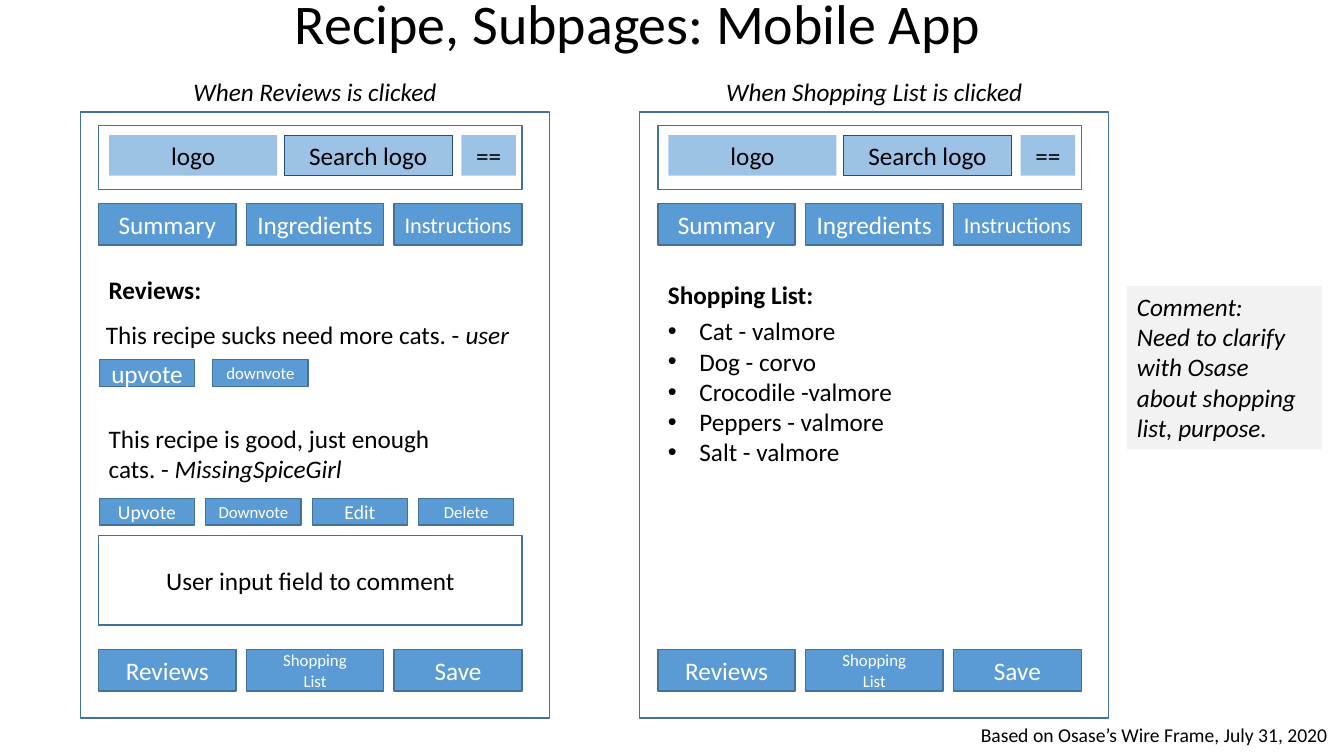
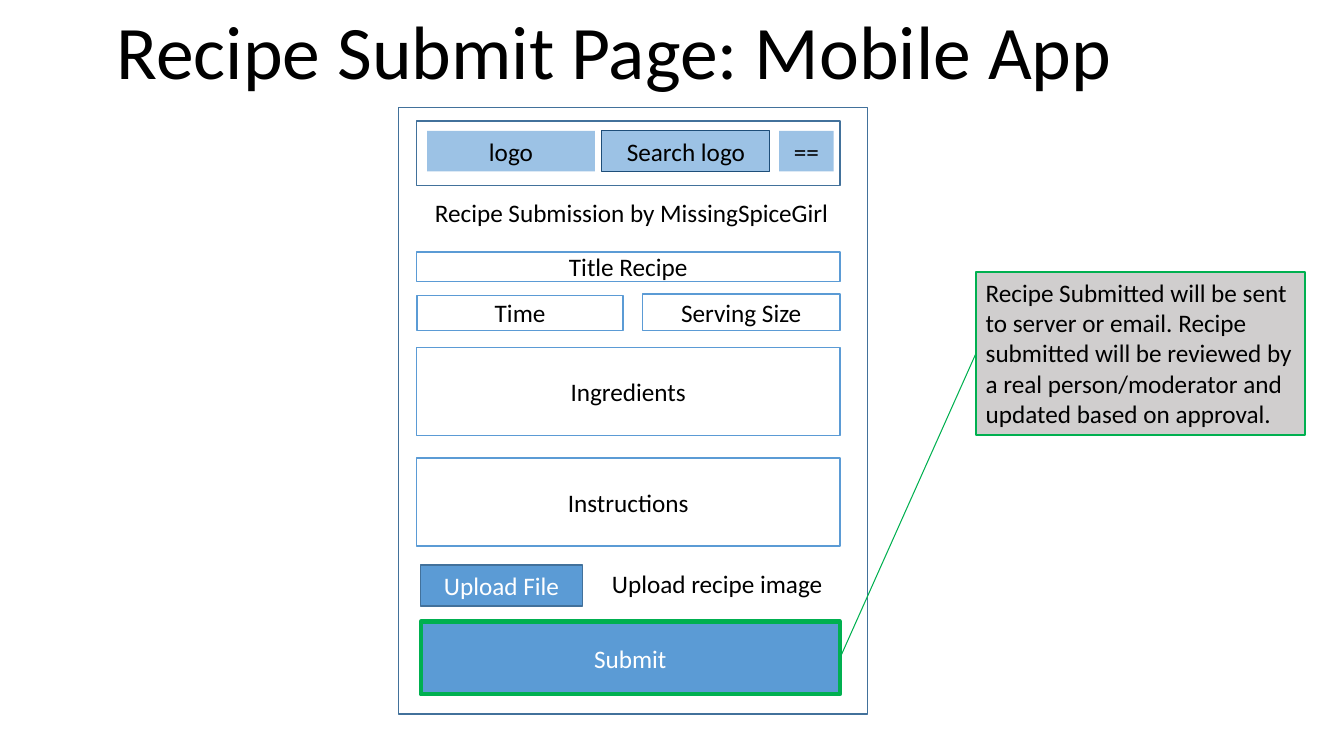
from lxml import etree
from pptx import Presentation
from pptx.dml.color import RGBColor
from pptx.enum.shapes import MSO_CONNECTOR, MSO_SHAPE
from pptx.enum.text import MSO_ANCHOR, PP_ALIGN
from pptx.oxml.ns import qn
from pptx.util import Pt

RECTANGLE = MSO_SHAPE.RECTANGLE
STRAIGHT = MSO_CONNECTOR.STRAIGHT
LEFT, CENTER, JUSTIFY = PP_ALIGN.LEFT, PP_ALIGN.CENTER, PP_ALIGN.JUSTIFY
TOP, MIDDLE, BOTTOM = MSO_ANCHOR.TOP, MSO_ANCHOR.MIDDLE, MSO_ANCHOR.BOTTOM
SIDE_LEFT, SIDE_RIGHT = 1, 3

FONT = "Calibri"
BLACK, WHITE = "000000", "FFFFFF"
BLUE, PALE_BLUE = "5B9BD5", "9CC2E5"
OUTLINE, DARK_OUTLINE = "42719B", "1E4E79"
GREEN, GREY, PALE_GREY = "00B050", "D0CECE", "F2F2F2"

PHONE_WIDTH, PHONE_HEIGHT = 335, 433
MARGIN, CONTENT_WIDTH = 13, 302.5
BUTTON_HEIGHT, SMALL_BUTTON_HEIGHT = 29.5, 19
TAB_PITCH = 105.5
TABS = [("Summary", 98, 18), ("Ingredients", 98, 18), ("Instructions", 91.5, 16)]
NAVIGATION = [("Reviews", 98, 18), ("Shopping\nList", 98, 12), ("Save", 91.5, 18)]


def rgb(color):
    return RGBColor.from_string(color)


def write(shape, text, align=LEFT, anchor=TOP, color=BLACK, spacing=None, **font):
    """Fill a shape with text; a paragraph is a string or (text, font changes) pairs."""
    frame = shape.text_frame
    frame.word_wrap = True
    frame.vertical_anchor = anchor
    paragraphs = text.split("\n") if isinstance(text, str) else text
    for index, content in enumerate(paragraphs):
        paragraph = frame.paragraphs[0] if index == 0 else frame.add_paragraph()
        paragraph.alignment = align
        paragraph.line_spacing = spacing
        runs = [(content, {})] if isinstance(content, str) else content
        for words, changes in runs:
            run = paragraph.add_run()
            run.text = words
            run.font.color.rgb = rgb(color)
            values = {"name": FONT, "size": 18, **font, **changes}
            values["size"] = Pt(values["size"])
            for key, value in values.items():
                setattr(run.font, key, value)


def add_label(slide, area, text, **style):
    label = slide.shapes.add_textbox(*map(Pt, area))
    write(label, text, **style)
    return label


def add_box(slide, area, text="", fill=None, line=None, weight=1, **style):
    box = slide.shapes.add_shape(RECTANGLE, *map(Pt, area))
    box.shadow.inherit = False
    if fill:
        box.fill.solid()
        box.fill.fore_color.rgb = rgb(fill)
    else:
        box.fill.background()
    if line:
        box.line.color.rgb = rgb(line)
        box.line.width = Pt(weight)
    else:
        box.line.fill.background()
    if text:
        write(box, text, **{"align": CENTER, "anchor": MIDDLE, **style})
    return box


def add_button(slide, area, text, line=OUTLINE, weight=1, size=18):
    return add_box(slide, area, text, BLUE, line, weight, color=WHITE, size=size)


def add_button_row(slide, left, top, pitch, height, buttons):
    for index, (text, width, size) in enumerate(buttons):
        add_button(slide, (left + index * pitch, top, width, height), text, size=size)


def add_title(slide, area, text, size):
    add_label(slide, area, text, align=CENTER, anchor=BOTTOM, spacing=0.9, size=size)


def add_phone(slide, left, top):
    """Draw the phone outline and its header bar."""
    add_box(slide, (left, top, PHONE_WIDTH, PHONE_HEIGHT), line=OUTLINE)
    add_box(slide, (left + MARGIN, top + 9.5, CONTENT_WIDTH, 46), line=OUTLINE)
    header = [("logo", 20.5, 120, None), ("Search logo", 145.5, 120, DARK_OUTLINE),
              ("==", 272, 39, None)]
    for text, offset, width, line in header:
        add_box(slide, (left + offset, top + 16.5, width, 29), text,
                PALE_BLUE, line, 0.75)


def add_recipe_phone(slide, left, top, caption):
    add_label(slide, (left, top - 29, PHONE_WIDTH, 29), caption,
              align=CENTER, italic=True)
    add_phone(slide, left, top)
    for offset, buttons in ((65.5, TABS), (384, NAVIGATION)):
        add_button_row(slide, left + MARGIN, top + offset, TAB_PITCH,
                       BUTTON_HEIGHT, buttons)


def add_bullets(label, indent):
    for paragraph in label.text_frame.paragraphs:
        properties = paragraph._p.get_or_add_pPr()
        properties.set("marL", str(Pt(indent)))
        properties.set("indent", str(-Pt(indent)))
        etree.SubElement(properties, qn("a:buFont"), typeface="Arial")
        etree.SubElement(properties, qn("a:buChar"), char="•")


def add_link(slide, source, target, color, weight):
    """Join the right side of source to the left side of target."""
    link = slide.shapes.add_connector(STRAIGHT, 0, 0, 0, 0)
    link.begin_connect(source, SIDE_RIGHT)
    link.end_connect(target, SIDE_LEFT)
    link.line.color.rgb = rgb(color)
    link.line.width = Pt(weight)
    etree.SubElement(link._element.spPr, qn("a:effectLst"))


def build_subpages(slide):
    add_title(slide, (78.5, -16, 763, 60), "Recipe, Subpages: Mobile App ", 40)
    top, reviews_left, shopping_left = 80, 57.5, 457

    add_recipe_phone(slide, reviews_left, top, "When Reviews is clicked")
    left = reviews_left + MARGIN
    add_label(slide, (left, 192.5, CONTENT_WIDTH, 29), "Reviews:", bold=True)
    add_label(slide, (68.5, 224.5, 304.5, 29),
              [[("This recipe sucks need more cats. - ", {}), ("user", {"italic": True})]])
    add_button_row(slide, left + 0.5, 257, 81, SMALL_BUTTON_HEIGHT,
                   [("upvote", 68, 18), ("downvote", 68, 12)])
    add_label(slide, (left, 298.5, 260, 51),
              [[("This recipe is good, just enough cats. - ", {}),
                ("MissingSpiceGirl", {"italic": True})]])
    add_button_row(slide, left + 0.5, 356, 76, SMALL_BUTTON_HEIGHT,
                   [("Upvote", 68, 14), ("Downvote", 68, 12),
                    ("Edit", 68, 14), ("Delete", 68, 12)])
    add_box(slide, (left, 382.5, CONTENT_WIDTH, 64), "User input field to comment",
            line=OUTLINE)

    add_recipe_phone(slide, shopping_left, top, "When Shopping List is clicked")
    left = shopping_left + MARGIN
    add_label(slide, (left, 196, CONTENT_WIDTH, 29), "Shopping List:", bold=True)
    items = ["Cat - valmore", "Dog - corvo", "Crocodile -valmore",
             "Peppers - valmore", "Salt - valmore"]
    shopping_list = add_label(slide, (left, 222, CONTENT_WIDTH, 116.5), items,
                              align=JUSTIFY)
    add_bullets(shopping_list, 22.5)

    add_box(slide, (805, 204.5, 139, 116.5),
            "Comment:\nNeed to clarify with Osase about shopping list, purpose.",
            PALE_GREY, align=LEFT, anchor=TOP, italic=True)
    add_label(slide, (693.5, 512.5, 266.5, 24.5),
              "Based on Osase’s Wire Frame, July 31, 2020", size=14)


def build_submit_page(slide):
    add_title(slide, (33, 12, 824, 60), "Recipe Submit Page: Mobile App ", 54)
    phone_left = 284.5
    add_phone(slide, phone_left, 77)
    left = phone_left + MARGIN
    add_label(slide, (300, 137.5, CONTENT_WIDTH, 29),
              "Recipe Submission by MissingSpiceGirl", align=CENTER)

    fields = [("Title Recipe", 0, 180, CONTENT_WIDTH, 21),
              ("Time", 0.5, 211, 147, 25),
              ("Serving Size", 161.5, 210, 141, 26),
              ("Ingredients", 0, 248, CONTENT_WIDTH, 63),
              ("Instructions", 0, 327, CONTENT_WIDTH, 63)]
    for text, offset, top, width, height in fields:
        add_box(slide, (left + offset, top, width, height), text, line=BLUE)

    add_button(slide, (300.5, 403.5, 115.5, BUTTON_HEIGHT), "Upload File")
    add_label(slide, (430, 402.5, 170, 29), "Upload recipe image")
    submit = add_button(slide, (300.5, 444, 299.5, 52), "Submit", GREEN, 3)
    review_note = add_box(
        slide, (697, 194.5, 235, 116.5),
        "Recipe Submitted will be sent to server or email. Recipe submitted will be "
        "reviewed by a real person/moderator and updated based on approval.",
        GREY, GREEN, 1.5, align=LEFT, anchor=TOP)
    add_link(slide, submit, review_note, GREEN, 0.75)


def main():
    deck = Presentation()
    deck.slide_width, deck.slide_height = Pt(960), Pt(540)
    blank = deck.slide_layouts[6]
    for build in (build_subpages, build_submit_page):
        build(deck.slides.add_slide(blank))
    deck.save("out.pptx")


if __name__ == "__main__":
    main()
